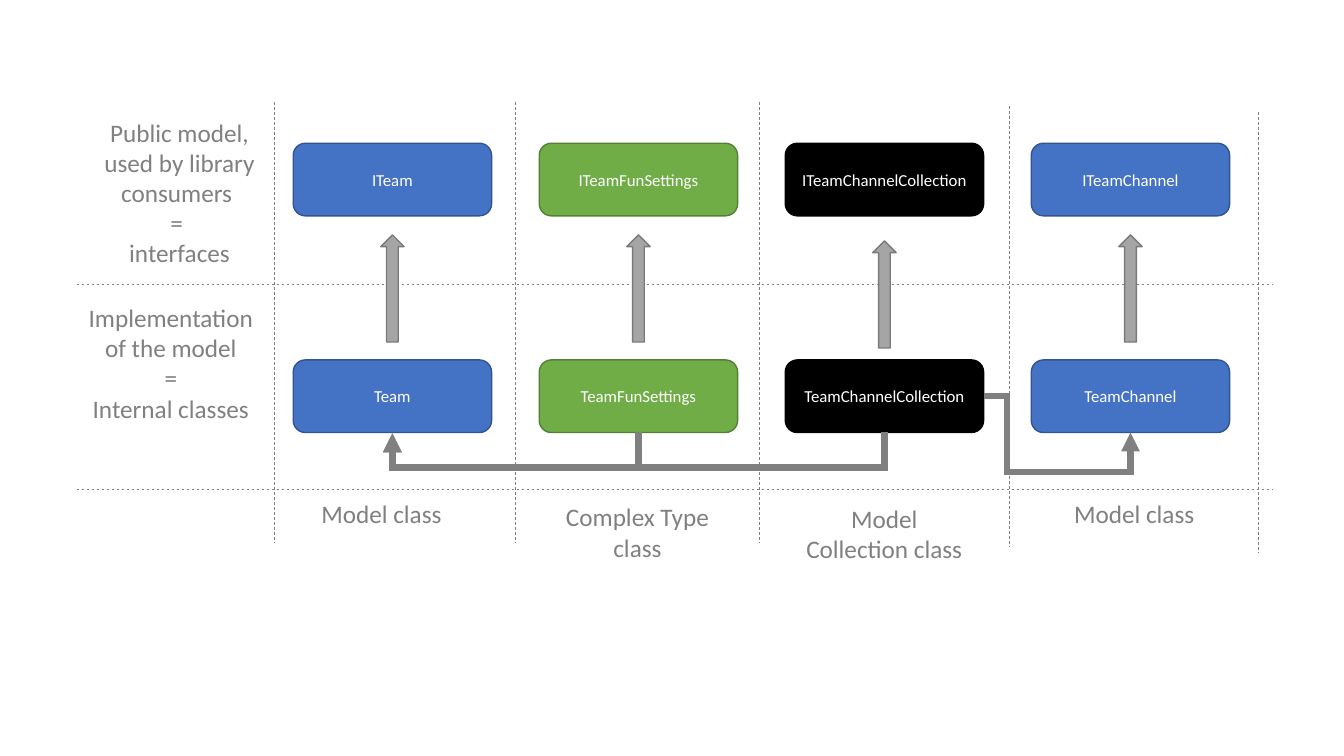
"""Build the slide that maps public interfaces to their internal classes."""
from lxml.etree import SubElement
from pptx import Presentation
from pptx.dml.color import RGBColor
from pptx.enum.dml import MSO_LINE
from pptx.enum.shapes import MSO_CONNECTOR, MSO_SHAPE
from pptx.enum.text import MSO_ANCHOR, MSO_AUTO_SIZE, PP_ALIGN
from pptx.oxml.ns import qn
from pptx.util import Cm, Pt

THEME = {
    "font": "Calibri", "class_size": 12, "label_size": 18,
    "class_text": "FFFFFF", "grey": "808080",
    "arrow": ("A5A5A5", "7A7A7A"),
    "model": ("4472C4", "325491"),
    "complex": ("70AD47", "538035"),
    "collection": ("000000", "000000"),
    "guide_width": 0.5, "outline_width": 1, "link_width": 4.5,
}

CLASSES = [
    ("Team", "model"),
    ("TeamFunSettings", "complex"),
    ("TeamChannelCollection", "collection"),
    ("TeamChannel", "model"),
]
ARROW_TOPS = [5.92, 5.92, 6.07, 5.92]
LABELS = [
    (["Public model, used by library consumers ", "= ", "interfaces"], 2.29, 2.82, 4.47, 4.11),
    (["Implementation of the model", "=", "Internal classes"], 1.93, 7.49, 4.75, 3.33),
    (["Model class"], 7.24, 12.42, 4.75, 1.03),
    (["Complex Type class"], 13.69, 12.52, 4.75, 1.8),
    (["Model Collection class"], 19.91, 12.55, 4.75, 1.8),
    (["Model class"], 26.21, 12.42, 4.75, 1.03),
]
ROW_GUIDES = [7.16, 12.32]
ROW_GUIDE_ENDS = (1.93, 32.05)
COLUMN_GUIDES = [(6.91, 2.57), (13.0, 2.57), (19.13, 2.57), (25.43, 2.67), (31.72, 2.82)]
COLUMN_GUIDE_LENGTH = 11.09

FIRST_LEFT, COLUMN_STEP = 7.39, 6.2
CLASS_WIDTH, CLASS_HEIGHT = 5.0, 1.83
INTERFACE_TOP, IMPLEMENTATION_TOP = 3.61, 9.07
ARROW_WIDTH, ARROW_HEIGHT = 0.59, 2.7
LINK_DEPTH, LINK_THICKNESS = 0.9, 0.04
SITE_BOTTOM, SITE_RIGHT = 2, 3

deck = Presentation()
deck.slide_width, deck.slide_height = Cm(33.87), Cm(19.05)
slide = deck.slides.add_slide(deck.slide_layouts[6])


def rgb(code):
    return RGBColor.from_string(code)


def write(frame, lines, size, color):
    frame.word_wrap = True
    frame.text = "\n".join(lines)
    for paragraph in frame.paragraphs:
        paragraph.alignment = PP_ALIGN.CENTER
        for run in paragraph.runs:
            run.font.name, run.font.size = THEME["font"], Pt(size)
            run.font.color.rgb = rgb(color)


def add_block(kind, left, top, width, height, colors):
    block = slide.shapes.add_shape(kind, Cm(left), Cm(top), Cm(width), Cm(height))
    fill, outline = colors
    block.shadow.inherit = False
    block.fill.solid()
    block.fill.fore_color.rgb = rgb(fill)
    block.line.color.rgb = rgb(outline)
    block.line.width = Pt(THEME["outline_width"])
    return block


def add_line(kind, width, *ends):
    line = slide.shapes.add_connector(kind, *map(Cm, ends))
    line.line.color.rgb = rgb(THEME["grey"])
    line.line.width = Pt(width)
    SubElement(line._element.spPr, qn("a:effectLst"))
    return line


def add_guide(*ends):
    guide = add_line(MSO_CONNECTOR.STRAIGHT, THEME["guide_width"], *ends)
    guide.line.dash_style = MSO_LINE.DASH


def add_link(source, source_site, target, preset, adjustments):
    link = add_line(MSO_CONNECTOR.ELBOW, THEME["link_width"], 0, 0, 0, 0)
    link.begin_connect(source, source_site)
    link.end_connect(target, SITE_BOTTOM)
    properties = link._element.spPr
    geometry = properties.find(qn("a:prstGeom"))
    geometry.set("prst", preset)
    guides = geometry.find(qn("a:avLst"))
    for number, share in enumerate(adjustments, 1):
        SubElement(guides, qn("a:gd"), name=f"adj{number}", fmla=f"val {round(share * 100000)}")
    outline = properties.find(qn("a:ln"))
    SubElement(outline, qn("a:miter"), lim="800000")
    SubElement(outline, qn("a:tailEnd"), type="triangle")
    return link


def add_link_below(source, target):
    link = add_link(source, SITE_BOTTOM, target, "bentConnector3", [LINK_DEPTH / LINK_THICKNESS])
    span = target.left - source.left
    middle = source.left + (source.width + span) // 2
    link.width, link.height = Cm(LINK_THICKNESS), span
    link.left = middle - link.width // 2
    link.top = source.top + source.height - span // 2
    frame = link._element.spPr.find(qn("a:xfrm"))
    frame.set("rot", str(270 * 60000))
    frame.set("flipH", "1")


for top in ROW_GUIDES:
    add_guide(ROW_GUIDE_ENDS[0], top, ROW_GUIDE_ENDS[1], top)
for left, top in COLUMN_GUIDES:
    add_guide(left, top, left, top + COLUMN_GUIDE_LENGTH)

implementations = []
for column, ((name, role), arrow_top) in enumerate(zip(CLASSES, ARROW_TOPS)):
    left = FIRST_LEFT + column * COLUMN_STEP
    for title, top in (("I" + name, INTERFACE_TOP), (name, IMPLEMENTATION_TOP)):
        block = add_block(MSO_SHAPE.ROUNDED_RECTANGLE, left, top, CLASS_WIDTH, CLASS_HEIGHT, THEME[role])
        block.text_frame.vertical_anchor = MSO_ANCHOR.MIDDLE
        write(block.text_frame, [title], THEME["class_size"], THEME["class_text"])
    implementations.append(block)
    arrow_left = left + (CLASS_WIDTH - ARROW_WIDTH) / 2
    add_block(MSO_SHAPE.UP_ARROW, arrow_left, arrow_top, ARROW_WIDTH, ARROW_HEIGHT, THEME["arrow"])

for lines, *place in LABELS:
    label = slide.shapes.add_textbox(*map(Cm, place))
    write(label.text_frame, lines, THEME["label_size"], THEME["grey"])
    label.text_frame.auto_size = MSO_AUTO_SIZE.SHAPE_TO_FIT_TEXT

team, settings, channels, channel = implementations
add_link_below(team, settings)
add_link_below(team, channels)
add_link(channels, SITE_RIGHT, channel, "bentConnector4", [0.16, 2.09])

deck.save("out.pptx")
